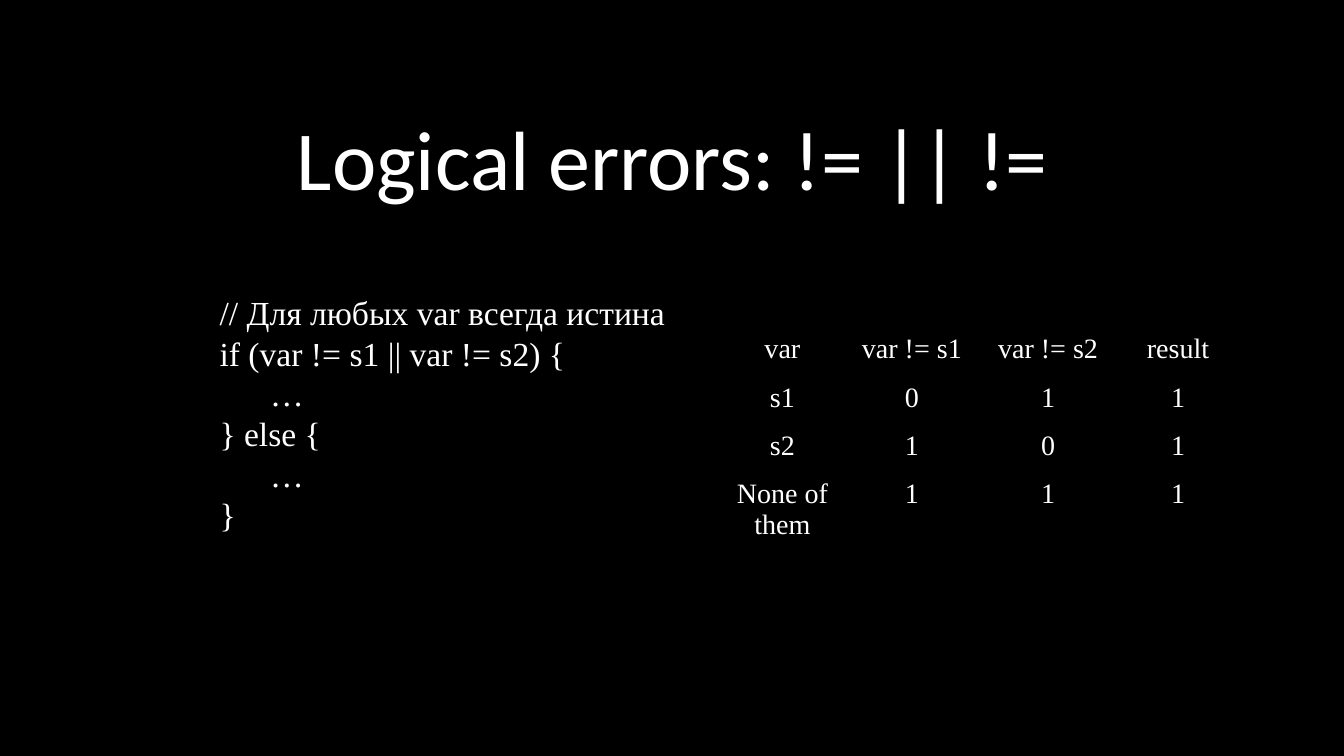
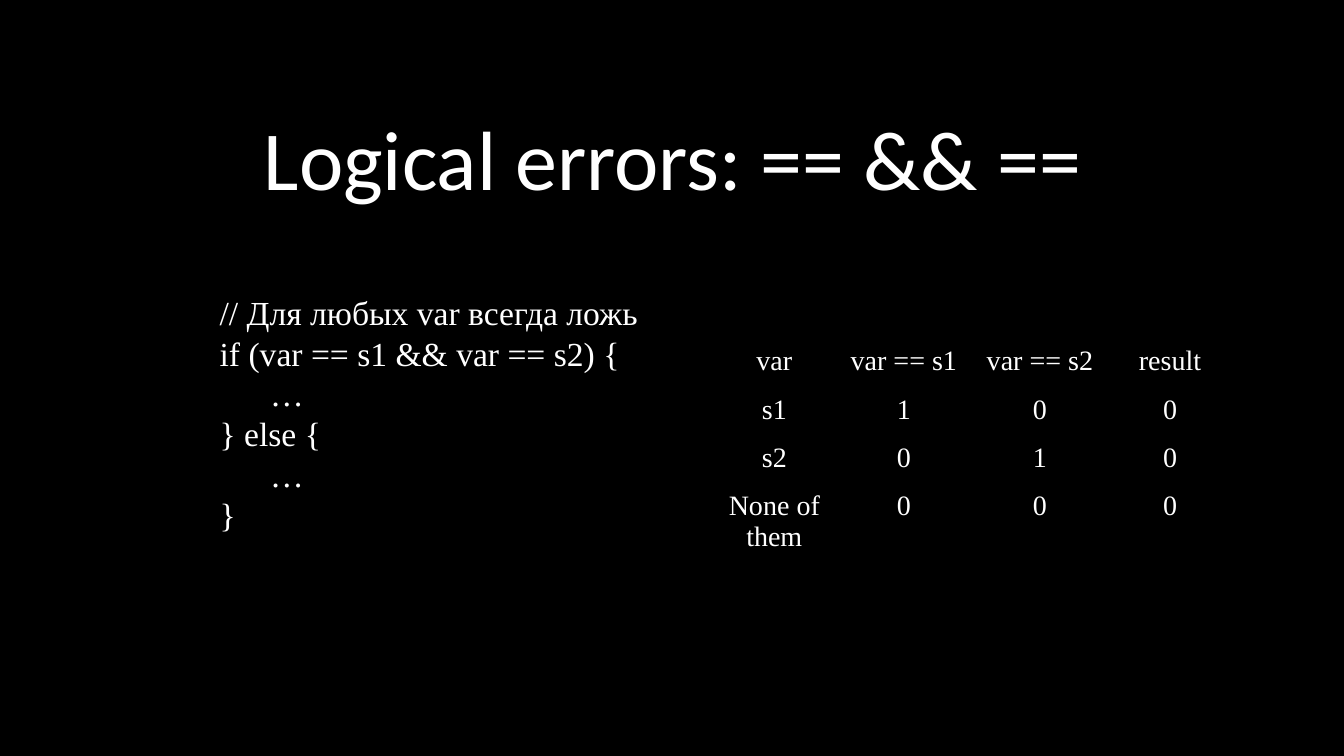
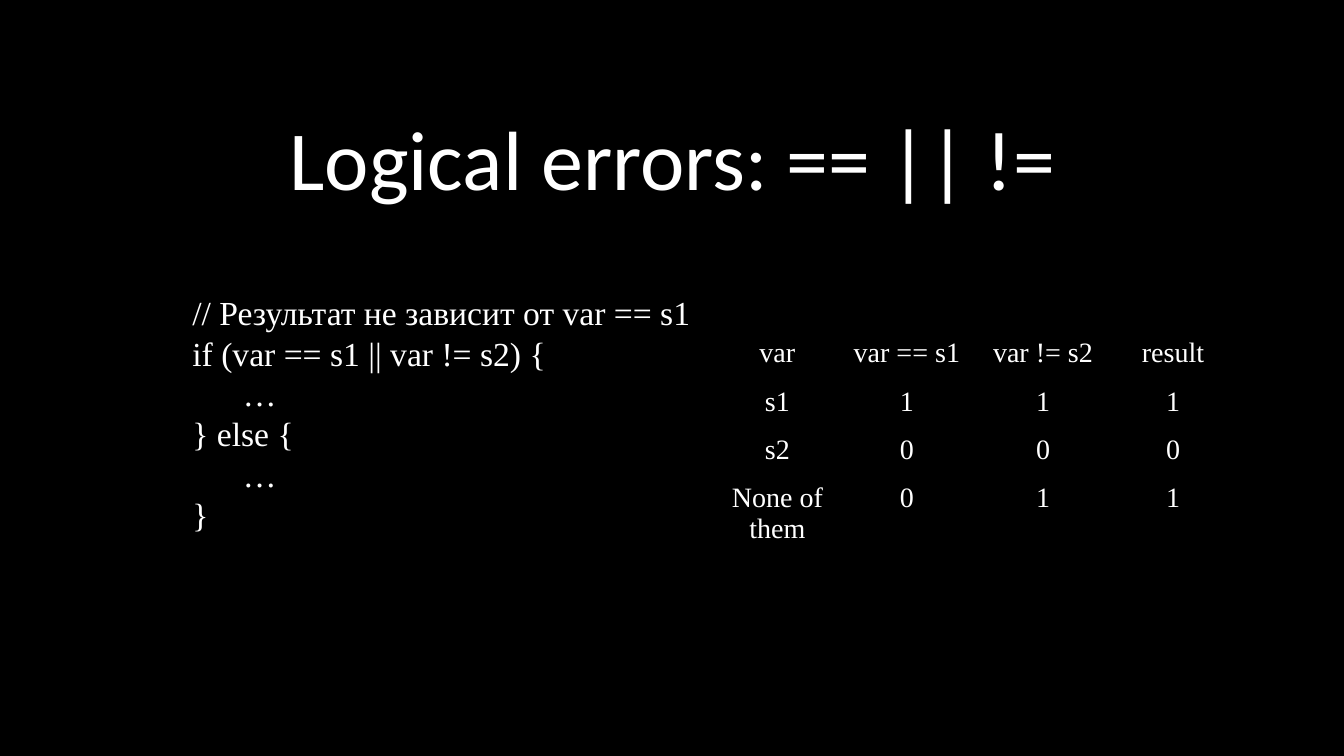
from pptx import Presentation
from pptx.dml.color import RGBColor
from pptx.enum.text import MSO_ANCHOR, MSO_AUTO_SIZE, PP_ALIGN
from pptx.oxml.ns import qn
from pptx.util import Inches, Pt

CENTER = PP_ALIGN.CENTER
BOTTOM = MSO_ANCHOR.BOTTOM
FIT_SHAPE = MSO_AUTO_SIZE.SHAPE_TO_FIT_TEXT

# Shared look
BACKGROUND, FOREGROUND = "000000", "FFFFFF"
TITLE_FONT, BODY_FONT = "Calibri", "Times New Roman"
TITLE_SIZE, CODE_SIZE, TABLE_SIZE = 60, 24, 20
TITLE_PLACE = (1.74, 0.85, 9.86, 1.27)
CODE_TOP, CODE_HEIGHT = 2.85, 2.52
COLUMN_WIDTHS = (1.16, 1.41, 1.29, 1.29)
ROW_HEIGHTS = (0.48, 0.48, 0.48, 0.73)
NO_STYLE_NO_GRID = "{2D5ABB26-0587-4C30-8999-92F81FD0307C}"

# Content: operators are (test of s1, joiner, test of s2)
CASES = ["s1", "s2", "None of them"]
LESSONS = [
    {"operators": ("!=", "||", "!="),
     "comment": "// Для любых var всегда истина",
     "truth": ["011", "101", "111"],
     "code_left": 2.08, "code_width": 4.66, "table_at": (7.18, 3.26)},
    {"operators": ("==", "&&", "=="),
     "comment": "// Для любых var всегда ложь",
     "truth": ["100", "010", "000"],
     "code_left": 2.08, "code_width": 4.39, "table_at": (7.1, 3.38)},
    {"operators": ("==", "||", "!="),
     "comment": "// Результат не зависит от var == s1",
     "truth": ["111", "000", "011"],
     "code_left": 1.81, "code_width": 5.19, "table_at": (7.13, 3.3)},
]


def color(value):
    return RGBColor.from_string(value)


def add_run(para, text, size, font=BODY_FONT):
    span = para.add_run()
    span.text = text
    span.font.size = Pt(size)
    span.font.name = font
    span.font.color.rgb = color(FOREGROUND)


def add_title(page, text):
    box = page.shapes.add_textbox(*map(Inches, TITLE_PLACE))
    frame = box.text_frame
    frame.word_wrap = True
    frame.vertical_anchor = BOTTOM
    para = frame.paragraphs[0]
    para.alignment = CENTER
    para.line_spacing = 0.9
    add_run(para, text, TITLE_SIZE, TITLE_FONT)


def add_code(page, left, width, lines):
    box = page.shapes.add_textbox(
        *map(Inches, (left, CODE_TOP, width, CODE_HEIGHT)))
    frame = box.text_frame
    frame.word_wrap = False
    frame.auto_size = FIT_SHAPE
    for index, line in enumerate(lines):
        para = frame.add_paragraph() if index else frame.paragraphs[0]
        add_run(para, line, CODE_SIZE)


def add_truth_table(page, place, rows):
    size = (sum(COLUMN_WIDTHS), sum(ROW_HEIGHTS))
    holder = page.shapes.add_table(
        len(rows), len(COLUMN_WIDTHS), *map(Inches, place + size))
    for style in holder.element.iter(qn("a:tableStyleId")):
        style.text = NO_STYLE_NO_GRID
    table = holder.table
    table.first_row = table.horz_banding = False
    for column, width in zip(table.columns, COLUMN_WIDTHS):
        column.width = Inches(width)
    for row, height, texts in zip(table.rows, ROW_HEIGHTS, rows):
        row.height = Inches(height)
        for cell, text in zip(row.cells, texts):
            cell.fill.background()
            para = cell.text_frame.paragraphs[0]
            para.alignment = CENTER
            add_run(para, text, TABLE_SIZE)


def add_lesson(deck, lesson):
    page = deck.slides.add_slide(deck.slide_layouts[6])
    page.background.fill.solid()
    page.background.fill.fore_color.rgb = color(BACKGROUND)

    first, joiner, second = lesson["operators"]
    tests = [f"var {first} s1", f"var {second} s2"]
    add_title(page, f"Logical errors: {first} {joiner} {second}")

    # Code sample
    condition = f" {joiner} ".join(tests)
    lines = [lesson["comment"], f"if ({condition}) {{",
             "\t…", "} else {", "\t…", "}"]
    add_code(page, lesson["code_left"], lesson["code_width"], lines)

    # Truth table
    rows = [["var", *tests, "result"]]
    rows += [[case, *bits] for case, bits in zip(CASES, lesson["truth"])]
    add_truth_table(page, lesson["table_at"], rows)


def main():
    deck = Presentation()
    deck.slide_width = Inches(13.33)
    deck.slide_height = Inches(7.5)
    for lesson in LESSONS:
        add_lesson(deck, lesson)
    deck.save("out.pptx")


if __name__ == "__main__":
    main()
